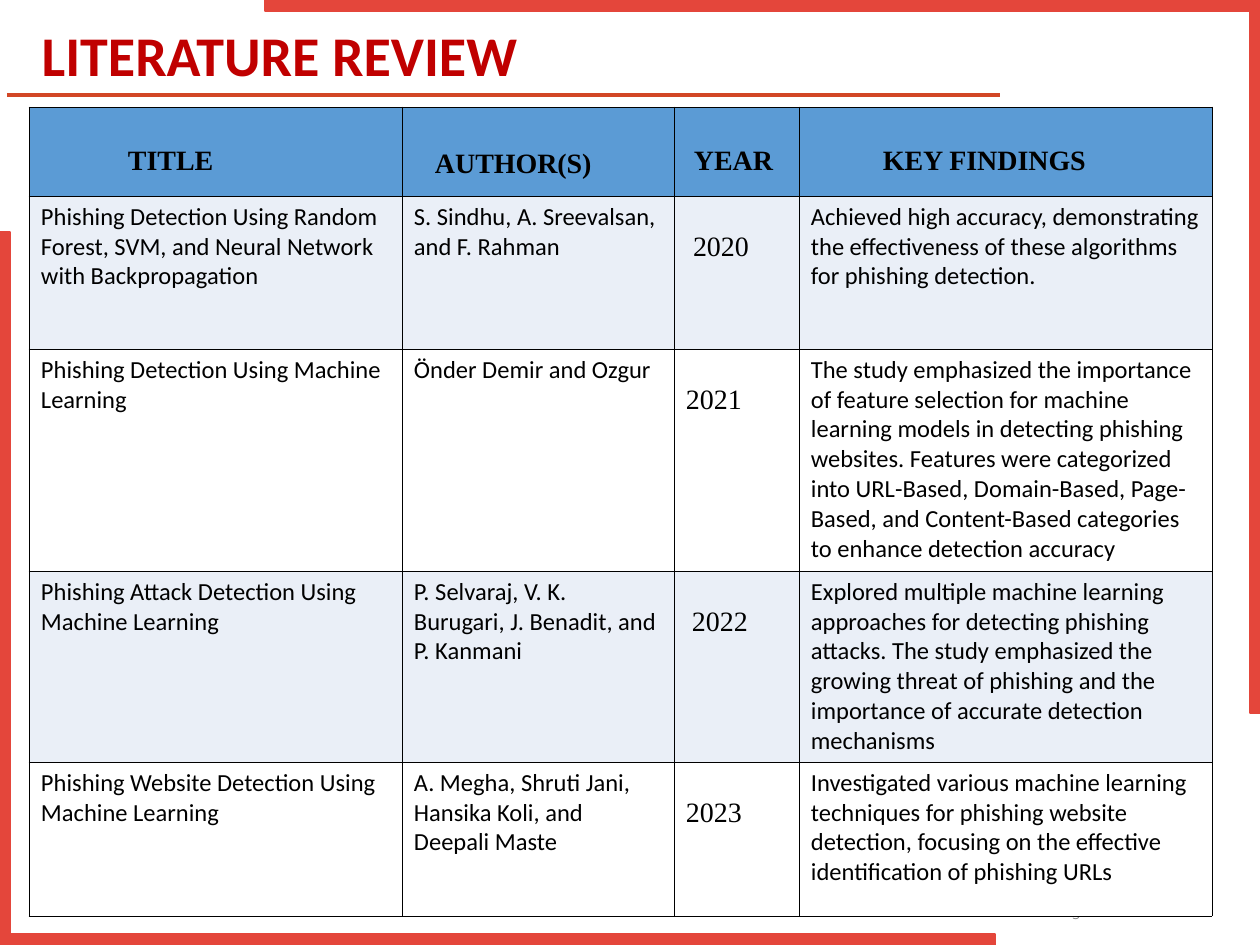
from lxml import etree
from pptx import Presentation
from pptx.dml.color import RGBColor
from pptx.enum.shapes import MSO_CONNECTOR
from pptx.enum.text import MSO_ANCHOR, MSO_AUTO_SIZE, PP_ALIGN
from pptx.oxml import parse_xml
from pptx.oxml.ns import nsdecls, qn
from pptx.util import Emu, Pt

STRAIGHT = MSO_CONNECTOR.STRAIGHT
TOP, MIDDLE = MSO_ANCHOR.TOP, MSO_ANCHOR.MIDDLE
LEFT = PP_ALIGN.LEFT
NO_AUTOFIT = MSO_AUTO_SIZE.NONE

PX = 914400 / 126
WIDTH, HEIGHT = 1260, 945
TITLE_ONLY = 5


class Theme:
    frame = RGBColor.from_string("E4463B")
    rule = RGBColor.from_string("D24726")
    title = RGBColor.from_string("C00000")
    page_number = RGBColor.from_string("7F7F7F")
    text = RGBColor.from_string("000000")
    header = RGBColor.from_string("5B9BD5")
    bands = (RGBColor.from_string("EAEFF7"), RGBColor.from_string("FFFFFF"))
    border = "000000"
    sans, serif, small = "Calibri", "Times New Roman", "Quicksand"
    title_size, label_size, body_size, small_size = Pt(32), Pt(16), Pt(14), Pt(9)
    border_width, frame_width, rule_width = Pt(0.45), Pt(1), Pt(2)


def px(*lengths):
    """Turn px lengths into a list of EMU."""
    return [Emu(round(length * PX)) for length in lengths]


def write(frame, text, font, size, color, bold=False):
    frame.text = text
    para = frame.paragraphs[0]
    para.alignment = LEFT
    for span in para.runs:
        span.font.name, span.font.size = font, size
        span.font.color.rgb, span.font.bold = color, bold


deck = Presentation()
deck.slide_width, deck.slide_height = px(WIDTH, HEIGHT)
page = deck.slides.add_slide(deck.slide_layouts[TITLE_ONLY])

# Rule under the title
rule = page.shapes.add_connector(STRAIGHT, *px(7, 95, 1000, 95))
rule.line.color.rgb, rule.line.width = Theme.rule, Theme.rule_width
etree.SubElement(rule._element.spPr, qn("a:effectLst"))

# Corner brackets: the upper right one is the lower left one turned half round
lower_left = [(0, 232), (10, 232), (10, 934), (995, 934), (995, 945), (0, 945)]
upper_right = [(WIDTH - x, HEIGHT - y) for x, y in lower_left]
for corners in (upper_right, lower_left):
    outline = page.shapes.build_freeform(*corners[0], scale=PX)
    outline.add_line_segments(corners[1:], close=True)
    bracket = outline.convert_to_shape()
    bracket.shadow.inherit = False
    bracket.fill.solid()
    bracket.fill.fore_color.rgb = Theme.frame
    bracket.line.color.rgb, bracket.line.width = Theme.frame, Theme.frame_width

# Page number, partly covered by the table
number_box = page.shapes.add_textbox(*px(1033, 895, 202, 24))
number_box.text_frame.word_wrap = True
number_box.text_frame.margin_left = px(29)[0]
write(number_box.text_frame, "Pg. 5", Theme.small, Theme.small_size, Theme.page_number)

# Title
title = page.shapes.title
title.left, title.top, title.width, title.height = px(29, 19, 932, 70)
title.text_frame.auto_size = NO_AUTOFIT
title.text_frame.vertical_anchor = MIDDLE
write(title.text_frame, "LITERATURE REVIEW", Theme.sans, Theme.title_size, Theme.title, True)

# Literature table
headings = ["TITLE", "AUTHOR(S)", "YEAR", "KEY FINDINGS"]
heading_insets = [(99, 38), (33, 42), (20, 38), (84, 38)]
studies = [
    ("Phishing Detection Using Random Forest, SVM, and Neural Network with Backpropagation",
     "S. Sindhu, A. Sreevalsan, and F. Rahman", "2020",
     "Achieved high accuracy, demonstrating the effectiveness of these algorithms "
     "for phishing detection."),
    ("Phishing Detection Using Machine Learning",
     "Önder Demir and Ozgur", "2021",
     "The study emphasized the importance of feature selection for machine learning models "
     "in detecting phishing websites. Features were categorized into URL-Based, Domain-Based, "
     "Page-Based, and Content-Based categories to enhance detection accuracy"),
    ("Phishing Attack Detection Using Machine Learning",
     "P. Selvaraj, V. K. Burugari, J. Benadit, and P. Kanmani", "2022",
     "Explored multiple machine learning approaches for detecting phishing attacks. "
     "The study emphasized the growing threat of phishing and the importance of accurate "
     "detection mechanisms"),
    ("Phishing Website Detection Using Machine Learning",
     "A. Megha, Shruti Jani, Hansika Koli, and Deepali Maste", "2023",
     "Investigated various machine learning techniques for phishing website detection, "
     "focusing on the effective identification of phishing URLs"),
]
year_insets = [(19, 36), (12, 36), (18, 36), (12, 36)]
text_inset = (12, 6)
year_column = headings.index("YEAR")
column_widths = [373, 272, 125, 413]
row_heights = [89, 153, 222, 191, 154]

table = page.shapes.add_table(
    len(row_heights), len(column_widths),
    *px(29, 107, sum(column_widths), sum(row_heights))).table
for column, width in zip(table.columns, px(*column_widths)):
    column.width = width
for row, height in zip(table.rows, px(*row_heights)):
    row.height = height

for row_index, texts in enumerate([headings] + studies):
    for column_index, text in enumerate(texts):
        cell = table.cell(row_index, column_index)
        is_heading = row_index == 0
        is_year = column_index == year_column
        if is_heading:
            inset, fill = heading_insets[column_index], Theme.header
        else:
            inset = year_insets[row_index - 1] if is_year else text_inset
            fill = Theme.bands[(row_index - 1) % 2]
        is_label = is_heading or is_year
        write(cell.text_frame, text,
              Theme.serif if is_label else Theme.sans,
              Theme.label_size if is_label else Theme.body_size,
              Theme.text, is_heading)
        cell.margin_left, cell.margin_top = px(*inset)
        cell.vertical_anchor = TOP
        cell.fill.solid()
        cell.fill.fore_color.rgb = fill
        properties = cell._tc.get_or_add_tcPr()
        for position, side in enumerate(("lnL", "lnR", "lnT", "lnB")):
            properties.insert(position, parse_xml(
                f'<a:{side} {nsdecls("a")} w="{Theme.border_width}"><a:solidFill>'
                f'<a:srgbClr val="{Theme.border}"/></a:solidFill></a:{side}>'))

deck.save("out.pptx")
